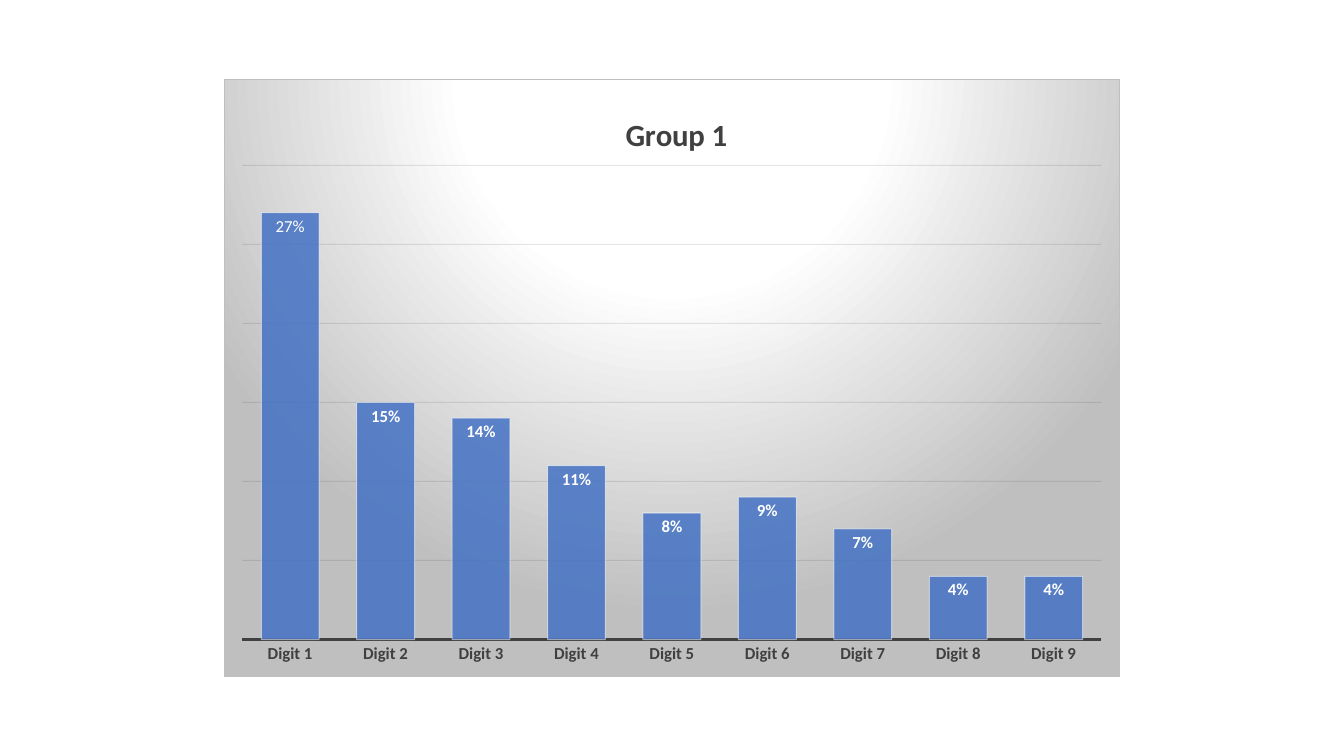
from lxml import etree
from pptx import Presentation
from pptx.chart.data import CategoryChartData
from pptx.dml.color import RGBColor
from pptx.enum.chart import XL_CHART_TYPE as ChartType
from pptx.enum.chart import XL_LABEL_POSITION as LabelPosition
from pptx.enum.chart import XL_TICK_LABEL_POSITION as TickLabels
from pptx.enum.chart import XL_TICK_MARK as TickMark
from pptx.oxml import parse_xml
from pptx.oxml.ns import nsdecls, qn
from pptx.util import Pt

SLIDE_WIDTH, SLIDE_HEIGHT = 1344, 756
EMU_PER_PX = 914400 / 100.8
FONT = "Calibri"
WHITE = RGBColor(0xFF, 0xFF, 0xFF)
BLACK = RGBColor(0x00, 0x00, 0x00)
DARK_GREY = RGBColor(0x40, 0x40, 0x40)
SILVER = RGBColor(0xBF, 0xBF, 0xBF)
GRID = RGBColor(0x0D, 0x0D, 0x0D)
BLUE = RGBColor(0x44, 0x72, 0xC4)

CHART_BOX = (224, 79, 896, 598)
PLOT_BOX = (242, 165, 860, 475)
TITLE_CORNER = (620, 107)
SHARES = (0.27, 0.15, 0.14, 0.11, 0.08, 0.09, 0.07, 0.04, 0.04)
OPACITY = {
    "//c:ser/c:spPr/a:solidFill/a:srgbClr": 85,
    "//c:ser/c:spPr/a:ln//a:srgbClr": 50,
    "//c:majorGridlines//a:srgbClr": 10,
}


def px(length):
    return round(length * EMU_PER_PX)


def style_font(font, size, color, bold):
    font.name = FONT
    font.size = Pt(size)
    font.color.rgb = color
    font.bold = bold


def style_line(line, color, width):
    line.color.rgb = color
    line.width = Pt(width)


def place(element, index, box, target=None):
    for old_layout in element.findall(qn("c:layout")):
        element.remove(old_layout)
    layout = parse_xml(f"<c:layout {nsdecls('c')}><c:manualLayout/></c:layout>")
    settings = [("layoutTarget", target)] if target else []
    settings += [("xMode", "edge"), ("yMode", "edge")]
    left, top, width, height = CHART_BOX
    offsets = (left, top, 0, 0)
    sizes = (width, height, width, height)
    for name, length, offset, size in zip("xywh", box, offsets, sizes):
        settings.append((name, f"{(length - offset) / size:.4f}"))
    for name, value in settings:
        etree.SubElement(layout[0], qn(f"c:{name}")).set("val", value)
    element.insert(index, layout)


def fill_background(chart):
    stops = "".join(
        f'<a:gs pos="{position * 1000}"><a:srgbClr val="{color}"/></a:gs>'
        for position, color in ((0, WHITE), (39, WHITE), (100, SILVER))
    )
    properties = parse_xml(
        f"<c:spPr {nsdecls('c', 'a')}><a:gradFill><a:gsLst>{stops}</a:gsLst>"
        '<a:path path="circle"><a:fillToRect l="50000" t="-80000" r="50000" b="180000"/></a:path>'
        f'</a:gradFill><a:ln w="{Pt(0.75)}"><a:solidFill><a:srgbClr val="{SILVER}"/>'
        "</a:solidFill></a:ln></c:spPr>"
    )
    chart.element.find(qn("c:chart")).addnext(properties)


def apply_opacity(chart):
    for query, percent in OPACITY.items():
        for color in chart.element.xpath(query):
            etree.SubElement(color, qn("a:alpha")).set("val", str(percent * 1000))


def add_title(chart, text):
    chart.has_title = True
    run = chart.chart_title.text_frame.paragraphs[0].add_run()
    run.text = text
    style_font(run.font, 22, DARK_GREY, True)
    place(chart.element.xpath("c:chart/c:title")[0], 1, TITLE_CORNER)


def style_axes(chart):
    category_axis = chart.category_axis
    category_axis.major_tick_mark = TickMark.NONE
    category_axis.minor_tick_mark = TickMark.NONE
    category_axis.tick_label_position = TickLabels.NEXT_TO_AXIS
    style_font(category_axis.tick_labels.font, 12, DARK_GREY, True)
    style_line(category_axis.format.line, DARK_GREY, 1.5)
    value_axis = chart.value_axis
    value_axis.minimum_scale = 0
    value_axis.maximum_scale = 0.3
    value_axis.major_unit = 0.05
    value_axis.tick_labels.number_format = "0%"
    value_axis.tick_labels.number_format_is_linked = False
    value_axis.has_major_gridlines = True
    style_line(value_axis.major_gridlines.format.line, GRID, 0.75)
    value_axis.visible = False


def style_series(series):
    series.invert_if_negative = False
    series.format.fill.solid()
    series.format.fill.fore_color.rgb = BLUE
    style_line(series.format.line, WHITE, 0.75)
    labels = series.data_labels
    labels.show_value = True
    labels.position = LabelPosition.INSIDE_END
    labels.number_format = "0%"
    labels.number_format_is_linked = False
    style_font(labels.font, 12, WHITE, True)
    first_label = series.points[0].data_label
    run = first_label.text_frame.paragraphs[0].add_run()
    run.text = "27%"
    style_font(run.font, 12, WHITE, False)
    first_label.position = LabelPosition.INSIDE_END


def add_digit_chart(slide):
    data = CategoryChartData(number_format="0%")
    data.categories = [f"Digit {digit}" for digit in range(1, len(SHARES) + 1)]
    data.add_series("Series 1", SHARES)
    box = [px(length) for length in CHART_BOX]
    chart = slide.shapes.add_chart(ChartType.COLUMN_CLUSTERED, *box, data).chart
    chart.has_legend = False
    style_font(chart.font, 10, BLACK, False)
    add_title(chart, "Group 1")
    style_axes(chart)
    plot = chart.plots[0]
    plot.gap_width = 65
    plot.vary_by_categories = False
    style_series(plot.series[0])
    place(chart.element.xpath("c:chart/c:plotArea")[0], 0, PLOT_BOX, "inner")
    fill_background(chart)
    apply_opacity(chart)


def main():
    presentation = Presentation()
    presentation.slide_width = px(SLIDE_WIDTH)
    presentation.slide_height = px(SLIDE_HEIGHT)
    slide = presentation.slides.add_slide(presentation.slide_layouts[6])
    add_digit_chart(slide)
    presentation.save("out.pptx")


if __name__ == "__main__":
    main()
